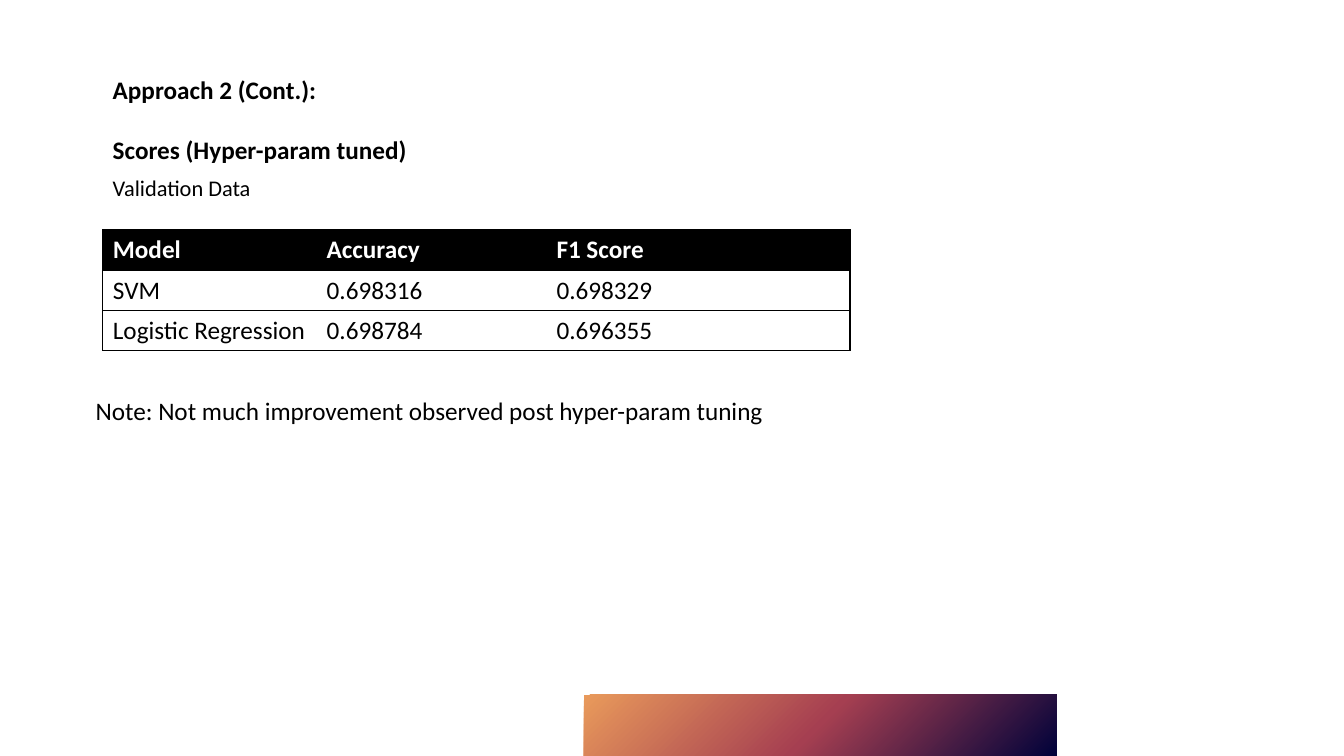
from pptx import Presentation
from pptx.dml.color import RGBColor
from pptx.enum import shapes, text
from pptx.oxml import parse_xml
from pptx.oxml.ns import nsdecls
from pptx.util import Inches, Pt

BLACK, WHITE = "000000", "FFFFFF"
PLAIN_STYLE = "{2D5ABB26-0587-4C30-8999-92F81FD0307C}"


def color(value):
    return RGBColor.from_string(value)


def style(para, size, bold, ink):
    para.font.name = "Calibri"
    para.font.size = Pt(size)
    para.font.bold = bold
    para.font.color.rgb = color(ink)


deck = Presentation()
deck.slide_width, deck.slide_height = Inches(13.33), Inches(7.5)
page = deck.slides.add_slide(deck.slide_layouts[6])

# Gradient band at the bottom, radiating from the lower right corner
band = page.shapes.add_shape(
    shapes.MSO_SHAPE.RECTANGLE, Inches(5.79), Inches(6.89), Inches(4.69), Inches(0.61))
band.shadow.inherit = False
band.line.fill.background()
band.fill.gradient()
stops = "".join(
    f'<a:gs pos="{percent * 1000}"><a:srgbClr val="{ink}"/></a:gs>'
    for percent, ink in [(0, "00023A"), (50, "A53F51"), (100, "E99A5B")])
gradient = parse_xml(
    f'<a:gradFill {nsdecls("a")} rotWithShape="1"><a:gsLst>{stops}</a:gsLst>'
    '<a:path path="circle"><a:fillToRect l="100000" t="100000"/></a:path></a:gradFill>')
properties = band._element.spPr
properties.replace(properties.find(gradient.tag), gradient)

# Headings and note
for wording, left, top, width, height, size, bold in [
    ("Approach 2 (Cont.):", 1.02, 0.69, 3.66, 0.4, 18, True),
    ("Scores (Hyper-param tuned)", 1.02, 1.28, 3.66, 0.4, 18, True),
    ("Validation Data", 1.02, 1.68, 3.66, 0.37, 16, False),
    ("Note: Not much improvement observed post hyper-param tuning",
     0.85, 3.87, 7.95, 0.4, 18, False),
]:
    box = page.shapes.add_textbox(Inches(left), Inches(top), Inches(width), Inches(height))
    frame = box.text_frame
    frame.word_wrap = True
    frame.auto_size = text.MSO_AUTO_SIZE.SHAPE_TO_FIT_TEXT
    frame.text = wording
    style(frame.paragraphs[0], size, bold, BLACK)

# Score table
scores = [
    ["Model", "Accuracy", "F1 Score"],
    ["SVM", "0.698316", "0.698329"],
    ["Logistic Regression", "0.698784", "0.696355"],
]
widths = [2.12, 2.28, 3.01]
table = page.shapes.add_table(
    len(scores), len(widths), Inches(1.02), Inches(2.28), Inches(7.41), Inches(1.2)).table
table.first_row = True
table.horz_banding = False
table._tbl.tblPr[0].text = PLAIN_STYLE
for column, width in zip(table.columns, widths):
    column.width = Inches(width)

for row, values in enumerate(scores):
    header = row == 0
    for col, value in enumerate(values):
        cell = table.cell(row, col)
        cell.text = value
        style(cell.text_frame.paragraphs[0], 18, header, WHITE if header else BLACK)
        cell.fill.solid()
        cell.fill.fore_color.rgb = color(BLACK if header else WHITE)
        # Outer frame plus horizontal rules, no inner verticals
        sides = ["lnL"] * (col == 0) + ["lnR"] * (col == len(widths) - 1) + ["lnT", "lnB"]
        for place, side in enumerate(sides):
            cell._tc.get_or_add_tcPr().insert(place, parse_xml(
                f'<a:{side} {nsdecls("a")} w="12700"><a:solidFill>'
                f'<a:srgbClr val="{BLACK}"/></a:solidFill></a:{side}>'))

deck.save("out.pptx")
